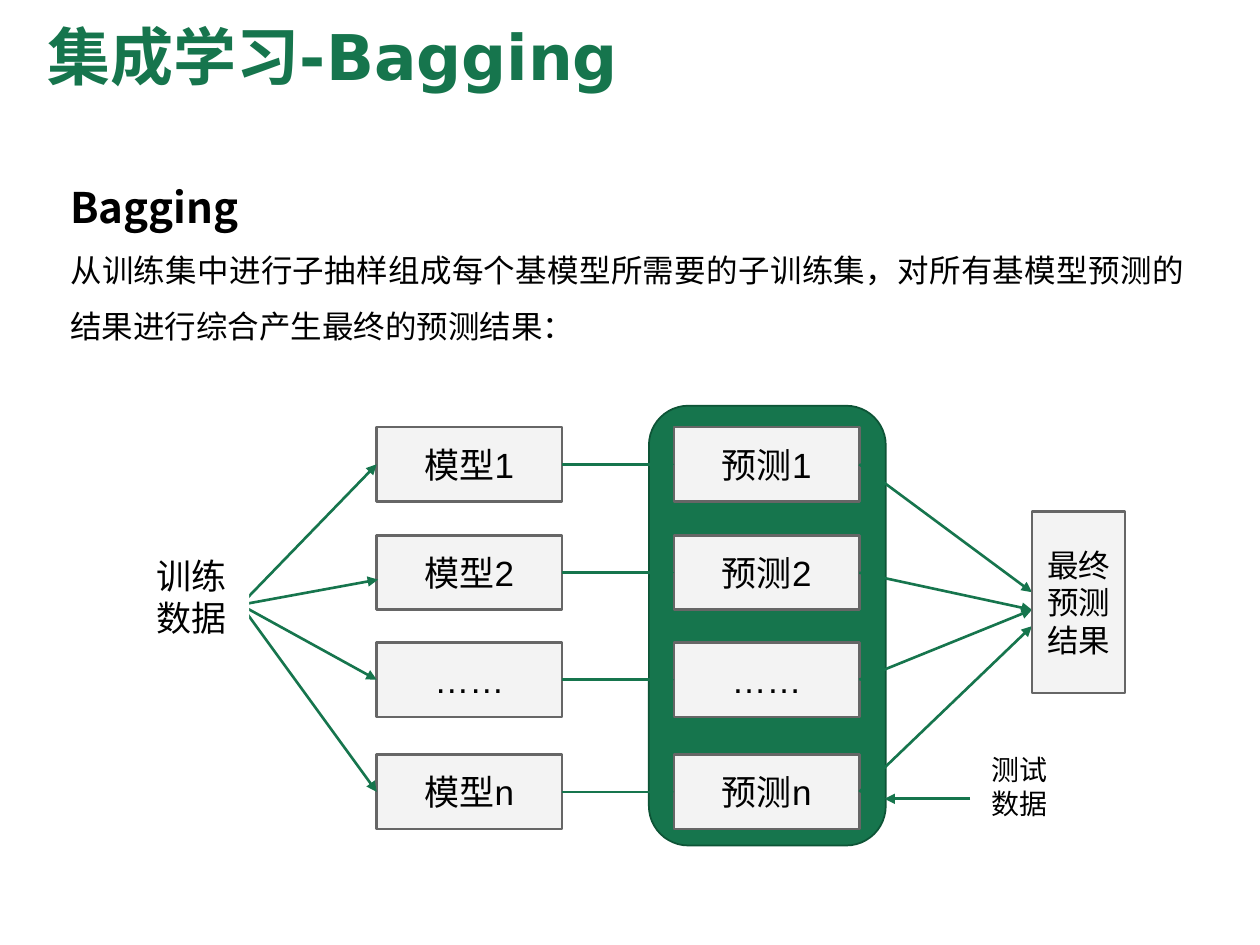
from pptx import Presentation
from pptx.dml.color import RGBColor
from pptx.enum.shapes import MSO_CONNECTOR, MSO_SHAPE
from pptx.enum.text import MSO_ANCHOR, PP_ALIGN
from pptx.oxml.ns import qn
from pptx.util import Inches, Pt
from lxml import etree

RECT, ROUNDED = MSO_SHAPE.RECTANGLE, MSO_SHAPE.ROUNDED_RECTANGLE
STRAIGHT = MSO_CONNECTOR.STRAIGHT
MIDDLE = MSO_ANCHOR.MIDDLE
LEFT, CENTER, JUSTIFY = PP_ALIGN.LEFT, PP_ALIGN.CENTER, PP_ALIGN.JUSTIFY
SITE_LEFT, SITE_RIGHT = 1, 3

GREEN, DARK_GREEN = "16754D", "0D5436"
GREY, LIGHT, WHITE, BLACK = "666666", "F3F3F3", "FFFFFF", "000000"
CJK = "Noto Sans CJK SC"

ROW_TOPS = [3.39, 4.25, 5.1, 5.99]
ROW_LABELS = ["1", "2", None, "n"]
MODEL_ENTRIES = [None, 4.6, None, None]
RESULT_ENTRIES = [4.7, 4.84, 4.84, 4.97]


def color(value):
    return RGBColor.from_string(value)


def write(p, text, size=20, font="Arial", fill=BLACK, bold=False, align=CENTER, spacing=None):
    p.alignment = align
    if spacing:
        p.line_spacing = spacing
    r = p.add_run()
    r.text = text
    r.font.size = Pt(size)
    r.font.name = font
    r.font.bold = bold
    r.font.color.rgb = color(fill)
    ea = etree.SubElement(r.font._element, qn("a:ea"))
    ea.set("typeface", CJK)


def place(sp, left, top, width, height):
    sp.left, sp.top = Inches(left), Inches(top)
    sp.width, sp.height = Inches(width), Inches(height)


def add_title(s, text):
    sp = s.shapes.title
    place(sp, 0.28, 0.05, 8.63, 0.85)
    tf = sp.text_frame
    tf.vertical_anchor = MIDDLE
    write(tf.paragraphs[0], text, size=36, font="DejaVu Sans", fill=GREEN,
          bold=True, align=LEFT, spacing=0.9)


def add_intro(s, heading, text):
    sp = s.shapes.add_textbox(Inches(0.46), Inches(1.19), Inches(9.04), Inches(1.6))
    tf = sp.text_frame
    tf.word_wrap = True
    write(tf.paragraphs[0], heading, size=24, font=CJK, bold=True, align=JUSTIFY, spacing=1.5)
    write(tf.add_paragraph(), text, size=18, font=CJK, align=JUSTIFY, spacing=1.5)


def add_box(s, left, top, width, height, text=None, kind=RECT, fill=LIGHT,
            line=GREY, weight=1.5, margin=0.1, **fmt):
    sp = s.shapes.add_shape(kind, Inches(left), Inches(top), Inches(width), Inches(height))
    sp.shadow.inherit = False
    sp.fill.solid()
    sp.fill.fore_color.rgb = color(fill)
    sp.line.color.rgb = color(line)
    sp.line.width = Pt(weight)
    if text:
        tf = sp.text_frame
        tf.word_wrap = True
        tf.vertical_anchor = MIDDLE
        tf.margin_left = tf.margin_right = Inches(0.1)
        tf.margin_top = tf.margin_bottom = Inches(margin)
        write(tf.paragraphs[0], text, **fmt)
    return sp


def add_data(s, left, top, width, height, text, size):
    return add_box(s, left, top, width, height, text, kind=ROUNDED, fill=WHITE,
                   line=WHITE, weight=1, margin=0.05, size=size, font=CJK)


def add_column(s, left, name):
    return [add_box(s, left, top, 1.47, 0.59, name + label if label else "……")
            for top, label in zip(ROW_TOPS, ROW_LABELS)]


def add_arrow(s, start=(0, 0), end=(0, 0), source=None, target=None):
    cx = s.shapes.add_connector(STRAIGHT, *map(Inches, start + end))
    if source:
        cx.begin_connect(source, SITE_RIGHT)
    if target:
        cx.end_connect(target, SITE_LEFT)
    cx.line.color.rgb = color(GREEN)
    cx.line.width = Pt(1.5)
    tail = etree.SubElement(cx.line._get_or_add_ln(), qn("a:tailEnd"))
    tail.set("type", "triangle")
    etree.SubElement(cx._element.spPr, qn("a:effectLst"))


def main():
    prs = Presentation()
    prs.slide_width, prs.slide_height = Inches(10), Inches(7.5)
    s = prs.slides.add_slide(prs.slide_layouts[5])
    add_title(s, "集成学习-Bagging")
    add_intro(s, "Bagging",
              "从训练集中进行子抽样组成每个基模型所需要的子训练集，"
              "对所有基模型预测的结果进行综合产生最终的预测结果：")

    add_box(s, 5.15, 3.22, 1.88, 3.49, kind=ROUNDED, fill=GREEN, line=DARK_GREEN, weight=1)
    models = add_column(s, 2.99, "模型")
    predictions = add_column(s, 5.35, "预测")

    for model, entry in zip(models, MODEL_ENTRIES):
        if entry:
            add_arrow(s, (1.91, 4.8), (3, entry))
        else:
            add_arrow(s, (1.91, 4.8), target=model)
    for model, prediction in zip(models, predictions):
        add_arrow(s, source=model, target=prediction)
    for prediction, entry in zip(predictions, RESULT_ENTRIES):
        add_arrow(s, end=(8.19, entry), source=prediction)

    add_data(s, 1.07, 3.98, 0.9, 1.51, "训练数据", 20)
    add_box(s, 8.19, 4.06, 0.74, 1.44, "最终预测结果", size=18)
    add_data(s, 7.7, 5.79, 0.78, 0.9, "测试数据", 16)
    add_arrow(s, (7.7, 6.34), (7.02, 6.34))
    prs.save("out.pptx")


if __name__ == "__main__":
    main()
